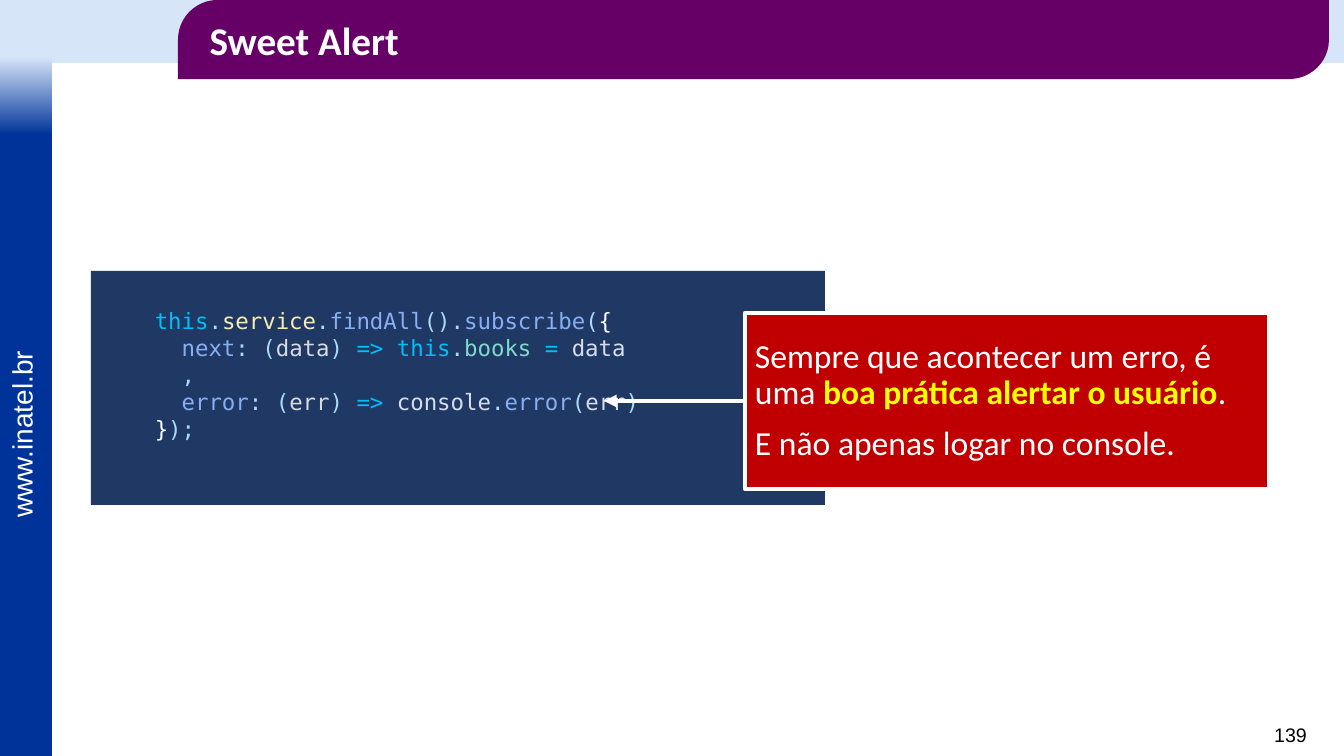
from lxml.etree import SubElement
from pptx import Presentation
from pptx.dml.color import RGBColor
from pptx.enum.shapes import MSO_CONNECTOR, MSO_SHAPE
from pptx.enum.text import MSO_ANCHOR, PP_ALIGN
from pptx.oxml.ns import qn
from pptx.util import Pt

EMU_PER_PX = 914400 / 100.8
SLIDE_SIZE = (1344, 756)

WHITE = RGBColor(0xFF, 0xFF, 0xFF)
BLACK = RGBColor(0x00, 0x00, 0x00)
YELLOW = RGBColor(0xFF, 0xFF, 0x00)
RED = RGBColor(0xC0, 0x00, 0x00)
PURPLE = RGBColor(0x66, 0x00, 0x66)
PALE_BLUE = RGBColor(0xD7, 0xE5, 0xF9)
BRAND_BLUE = RGBColor(0x00, 0x33, 0x99)
CODE_NAVY = RGBColor(0x20, 0x38, 0x64)
PUNCTUATION = RGBColor(0xA7, 0xDB, 0xF7)
KEYWORD = RGBColor(0x00, 0xBF, 0xF9)
MEMBER = RGBColor(0xF7, 0xEC, 0xB5)
METHOD = RGBColor(0x87, 0xAF, 0xF4)
PARAMETER = RGBColor(0xD7, 0xDB, 0xE0)
VARIABLE = RGBColor(0xD6, 0xDE, 0xEB)
PROPERTY = RGBColor(0x7F, 0xDB, 0xCA)

# Each text is a list of paragraphs; each paragraph is a list of (words, colour, bold).
TITLE = [[("Sweet Alert", WHITE, True)]]
WEBSITE = [[("www.inatel.br", WHITE, False)]]
PAGE_NUMBER = [[("139", BLACK, False)]]
ADVICE = [
    [("Sempre que acontecer um erro, é uma ", WHITE, False),
     ("boa prática alertar o usuário", YELLOW, True),
     (".", WHITE, False)],
    [("E não apenas logar no console.", WHITE, False)],
]
CODE_LINES = [
    [("    ", PUNCTUATION), ("this", KEYWORD), (".", PUNCTUATION),
     ("service", MEMBER), (".", PUNCTUATION), ("findAll", METHOD),
     ("().", PUNCTUATION), ("subscribe", METHOD), ("(", PUNCTUATION),
     ("{", WHITE)],
    [("      ", PUNCTUATION), ("next", METHOD), (": (", PUNCTUATION),
     ("data", PARAMETER), (") ", PUNCTUATION), ("=> this", KEYWORD),
     (".", PUNCTUATION), ("books ", PROPERTY), ("= ", KEYWORD),
     ("data", VARIABLE)],
    [("      ,", PUNCTUATION)],
    [("      ", PUNCTUATION), ("error", METHOD), (": (", PUNCTUATION),
     ("err", PARAMETER), (") ", PUNCTUATION), ("=> ", KEYWORD),
     ("console", VARIABLE), (".", PUNCTUATION), ("error", METHOD),
     ("(", PUNCTUATION), ("err", VARIABLE), (")", PUNCTUATION)],
    [("    ", PUNCTUATION), ("}", WHITE), (");", PUNCTUATION)],
]
CODE = [[(token, color, False) for token, color in line] for line in CODE_LINES]

# Left, top, width, height in px
TOP_BAND = (0, 0, 1344, 63)
SIDE_BAR = (0, 117, 52, 639)
SIDE_FADE = (0, 57, 52, 78)
WEBSITE_BOX = (-73, 412, 188, 43)
PAGE_BOX = (1252, 718, 65, 34)
CODE_BOX = (91, 271, 734, 234)
TITLE_BOX = (178, 0, 1151, 79)
ADVICE_BOX = (745, 313, 524, 176)
ARROW_TIP_X = 604
LINE_WEIGHT = Pt(3)


def px(length):
    return round(length * EMU_PER_PX)


def add_block(slide, box, color, preset=MSO_SHAPE.RECTANGLE):
    block = slide.shapes.add_shape(preset, *map(px, box))
    block.shadow.inherit = False
    block.fill.solid()
    block.fill.fore_color.rgb = color
    block.line.fill.background()
    return block


def write(holder, paragraphs, *, font, size, align=PP_ALIGN.LEFT,
          anchor=MSO_ANCHOR.MIDDLE, insets=(10, 5, 10, 5), spacing=None, gap=0):
    """Fill a shape or text box; insets are left, top, right, bottom in px."""
    frame = holder.text_frame
    frame.word_wrap = True
    frame.vertical_anchor = anchor
    (frame.margin_left, frame.margin_top,
     frame.margin_right, frame.margin_bottom) = map(px, insets)
    for index, pieces in enumerate(paragraphs):
        paragraph = frame.add_paragraph() if index else frame.paragraphs[0]
        paragraph.alignment = align
        if spacing:
            paragraph.line_spacing = spacing
        if index and gap:
            paragraph.space_before = Pt(gap)
        for words, color, bold in pieces:
            run = paragraph.add_run()
            run.text = words
            run.font.name = font
            run.font.size = Pt(size)
            run.font.bold = bold
            run.font.color.rgb = color


def add_arrow(slide, start, end):
    arrow = slide.shapes.add_connector(
        MSO_CONNECTOR.STRAIGHT, *map(px, start + end))
    arrow.line.color.rgb = WHITE
    arrow.line.width = LINE_WEIGHT
    SubElement(arrow.line._get_or_add_ln(), qn("a:tailEnd"), type="triangle")
    SubElement(arrow._element.spPr, qn("a:effectLst"))


def add_frame(slide):
    """Draw the bands, web address and page number around the content."""
    add_block(slide, TOP_BAND, PALE_BLUE)
    add_block(slide, SIDE_BAR, BRAND_BLUE)
    fade = add_block(slide, SIDE_FADE, PALE_BLUE)
    fade.fill.gradient()
    fade.fill.gradient_angle = 270
    for stop, color in zip(fade.fill.gradient_stops, (PALE_BLUE, BRAND_BLUE)):
        stop.color.rgb = color

    website = slide.shapes.add_textbox(*map(px, WEBSITE_BOX))
    website.rotation = 270
    write(website, WEBSITE, font="Arial", size=20, anchor=MSO_ANCHOR.TOP)
    page = slide.shapes.add_textbox(*map(px, PAGE_BOX))
    write(page, PAGE_NUMBER, font="Arial", size=14, align=PP_ALIGN.RIGHT,
          anchor=MSO_ANCHOR.TOP)


def add_content(slide):
    code = add_block(slide, CODE_BOX, CODE_NAVY)
    write(code, CODE, font="DejaVu Sans Mono", size=16, insets=(10, 5, 10, 32))

    title = add_block(slide, TITLE_BOX, PURPLE, MSO_SHAPE.ROUND_2_DIAG_RECTANGLE)
    title.adjustments[0] = 0.5
    title.adjustments[1] = 0
    write(title, TITLE, font="Calibri", size=28, insets=(20, 5, 10, 5))

    advice = add_block(slide, ADVICE_BOX, RED)
    advice.line.color.rgb = WHITE
    advice.line.width = LINE_WEIGHT
    write(advice, ADVICE, font="Calibri", size=24, spacing=0.9, gap=10)

    left, top, _, height = ADVICE_BOX
    middle = top + height // 2
    add_arrow(slide, (left, middle), (ARROW_TIP_X, middle))


def main():
    deck = Presentation()
    deck.slide_width, deck.slide_height = map(px, SLIDE_SIZE)
    slide = deck.slides.add_slide(deck.slide_layouts[6])
    add_frame(slide)
    add_content(slide)
    deck.save("out.pptx")


if __name__ == "__main__":
    main()
